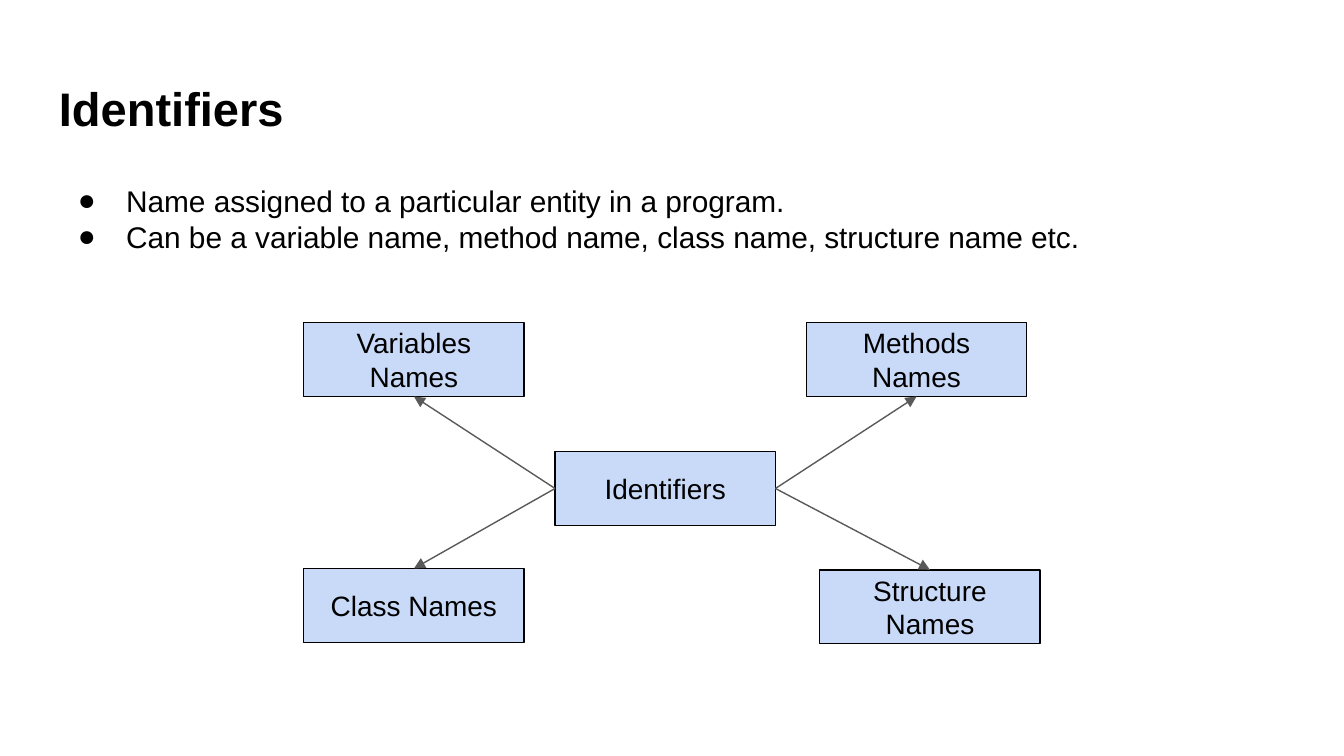
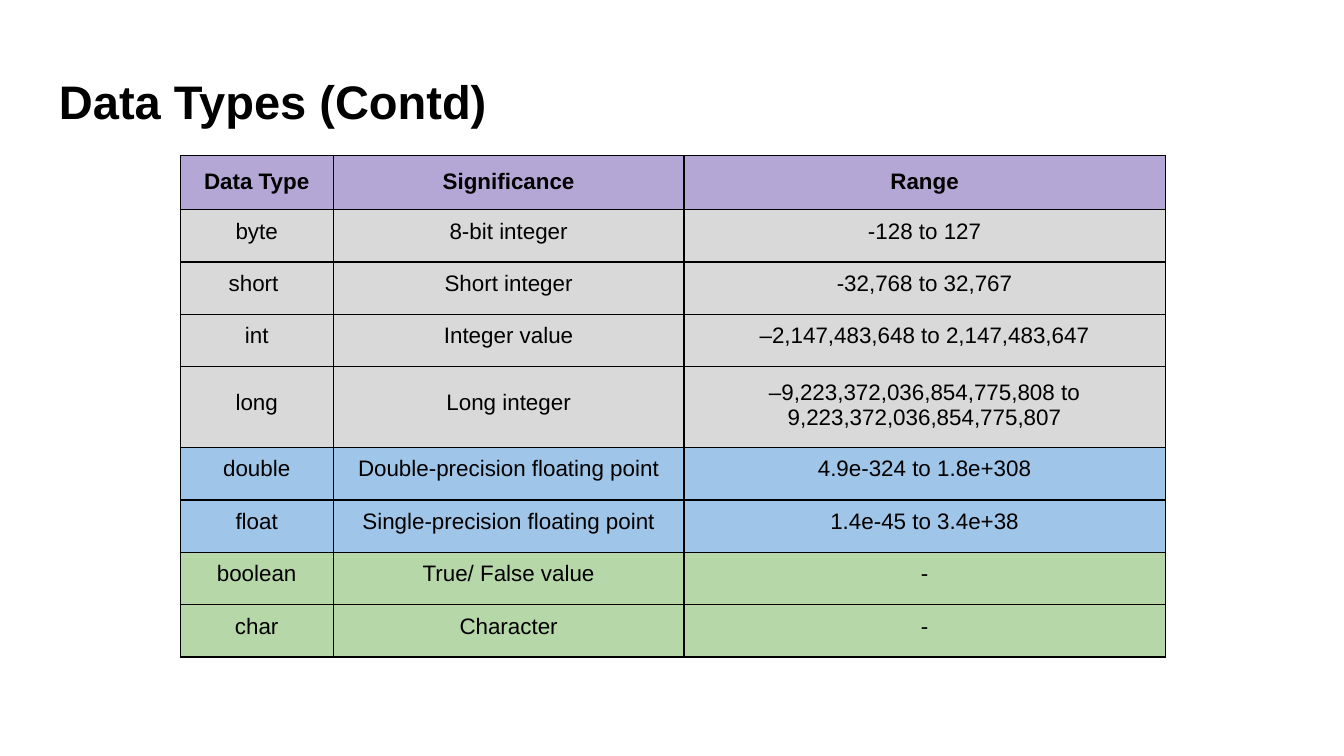
from dataclasses import dataclass
from typing import NamedTuple, Optional

from lxml.etree import SubElement
from pptx import Presentation
from pptx.dml.color import RGBColor
from pptx.enum.shapes import MSO_CONNECTOR, MSO_SHAPE
from pptx.enum.text import MSO_ANCHOR, PP_ALIGN
from pptx.oxml.ns import qn
from pptx.util import Inches, Pt


@dataclass(frozen=True)
class Theme:
    font: str = "Arial"
    text: RGBColor = RGBColor.from_string("000000")
    border: RGBColor = RGBColor.from_string("000000")
    arrow: RGBColor = RGBColor.from_string("595959")
    box: RGBColor = RGBColor.from_string("C9DAF8")
    header: RGBColor = RGBColor.from_string("B4A7D6")
    integers: RGBColor = RGBColor.from_string("D9D9D9")
    floats: RGBColor = RGBColor.from_string("9FC5E8")
    others: RGBColor = RGBColor.from_string("B6D7A8")
    title_size: float = 25.2
    body_size: float = 16
    box_size: float = 15
    table_size: float = 12
    line_width: float = 0.75


THEME = Theme()
INSET = Inches(0.1)
BOX_W, BOX_H = 1.64, 0.55
TOP, LEFT, BOTTOM, RIGHT = range(4)  # connection sites of a rectangle


class Node(NamedTuple):
    text: str
    x: float
    y: float
    hub_site: int
    node_site: int


class DataType(NamedTuple):
    name: str
    significance: str
    range: str
    fill: RGBColor
    height: float = 0.39


HUB = ("Identifiers", 4.13, 3.36)
NODES = [
    Node("Variables Names", 2.26, 2.4, LEFT, BOTTOM),
    Node("Structure Names", 6.1, 4.24, RIGHT, TOP),
    Node("Class Names", 2.26, 4.23, LEFT, TOP),
    Node("Methods Names", 6, 2.4, RIGHT, BOTTOM),
]

BULLETS = [
    "Name assigned to a particular entity in a program.",
    "Can be a variable name, method name, class name, structure name etc.",
]

TALL = 0.58
DATA_TYPES = [
    DataType("Data Type", "Significance", "Range", THEME.header, 0.3),
    DataType("byte", "8-bit integer", "-128 to 127", THEME.integers),
    DataType("short ", "Short integer", "-32,768 to 32,767", THEME.integers),
    DataType("int", "Integer value", "–2,147,483,648 to 2,147,483,647", THEME.integers),
    DataType("long", "Long integer",
             "–9,223,372,036,854,775,808 to 9,223,372,036,854,775,807", THEME.integers, TALL),
    DataType("double", "Double-precision floating point", "4.9e-324 to 1.8e+308", THEME.floats),
    DataType("float", "Single-precision floating point", "1.4e-45 to 3.4e+38", THEME.floats),
    DataType("boolean", "True/ False value", "-", THEME.others),
    DataType("char", "Character", "-", THEME.others),
]
COL_WIDTHS = [1.14, 2.61, 3.58]
FRAME_SIDE = Inches(3.28)


# Text
def add_bullet(p) -> None:
    pPr = p._p.get_or_add_pPr()
    pPr.set("marL", str(Inches(0.5)))
    pPr.set("indent", str(Inches(-0.36)))
    color = SubElement(pPr, qn("a:buClr"))
    SubElement(color, qn("a:srgbClr"), val=str(THEME.text))
    SubElement(pPr, qn("a:buFont"), typeface=THEME.font)
    SubElement(pPr, qn("a:buChar"), char="●")


def write_text(tf, *lines: str, size: float, bold: bool = False, align=PP_ALIGN.LEFT,
               spacing: Optional[float] = None, bullet: bool = False) -> None:
    for i, line in enumerate(lines):
        p = tf.add_paragraph() if i else tf.paragraphs[0]
        p.alignment = align
        p.line_spacing = spacing
        if bullet:
            add_bullet(p)
        r = p.add_run()
        r.text = line
        r.font.name = THEME.font
        r.font.size = Pt(size)
        r.font.bold = bold
        r.font.color.rgb = THEME.text


def set_insets(holder) -> None:
    holder.margin_left = holder.margin_right = INSET
    holder.margin_top = holder.margin_bottom = INSET


def add_text(slide, top: float, *lines: str, **fmt) -> None:
    sp = slide.shapes.add_textbox(Inches(0.34), Inches(top), Inches(9.32), Inches(0.63))
    tf = sp.text_frame
    tf.word_wrap = True
    set_insets(tf)
    write_text(tf, *lines, **fmt)


def add_title(slide, top: float, text: str) -> None:
    add_text(slide, top, text, size=THEME.title_size, bold=True)


# Diagram parts
def add_box(slide, text: str, x: float, y: float):
    sp = slide.shapes.add_shape(MSO_SHAPE.RECTANGLE, Inches(x), Inches(y),
                                Inches(BOX_W), Inches(BOX_H))
    sp.shadow.inherit = False
    sp.fill.solid()
    sp.fill.fore_color.rgb = THEME.box
    sp.line.color.rgb = THEME.border
    sp.line.width = Pt(THEME.line_width)
    tf = sp.text_frame
    tf.word_wrap = True
    tf.vertical_anchor = MSO_ANCHOR.MIDDLE
    set_insets(tf)
    write_text(tf, text, size=THEME.box_size, align=PP_ALIGN.CENTER)
    return sp


def add_arrow(slide, start, start_site: int, end, end_site: int) -> None:
    line = slide.shapes.add_connector(MSO_CONNECTOR.STRAIGHT, 0, 0, 0, 0)
    line.begin_connect(start, start_site)
    line.end_connect(end, end_site)
    line.line.color.rgb = THEME.arrow
    line.line.width = Pt(THEME.line_width)
    SubElement(line.line._get_or_add_ln(), qn("a:tailEnd"), type="triangle")
    SubElement(line._element.spPr, qn("a:effectLst"))


# Table parts
def set_borders(cell) -> None:
    tcPr = cell._tc.get_or_add_tcPr()
    for i, side in enumerate(("lnL", "lnR", "lnT", "lnB")):
        ln = SubElement(tcPr, qn(f"a:{side}"), w=str(Pt(THEME.line_width)))
        fill = SubElement(ln, qn("a:solidFill"))
        SubElement(fill, qn("a:srgbClr"), val=str(THEME.border))
        tcPr.insert(i, ln)


def fill_cell(cell, text: str, fill: RGBColor, bold: bool, spacing: Optional[float]) -> None:
    set_insets(cell)
    cell.fill.solid()
    cell.fill.fore_color.rgb = fill
    set_borders(cell)
    write_text(cell.text_frame, text, size=THEME.table_size, bold=bold,
               align=PP_ALIGN.CENTER, spacing=spacing)


def add_type_table(slide) -> None:
    frame = slide.shapes.add_table(len(DATA_TYPES), len(COL_WIDTHS), Inches(1.34), Inches(1.16),
                                   FRAME_SIDE, FRAME_SIDE)
    table = frame.table
    table.first_row = table.horz_banding = False
    for column, width in zip(table.columns, COL_WIDTHS):
        column.width = Inches(width)
    for i, row in enumerate(DATA_TYPES):
        table.rows[i].height = Inches(row.height)
        tall = row.height == TALL
        for j, text in enumerate((row.name, row.significance, row.range)):
            cell = table.cell(i, j)
            spacing = 0.8
            if i == 0 or (tall and j == 2):
                spacing = None
            elif tall:
                spacing = 0.4
                cell.vertical_anchor = MSO_ANCHOR.MIDDLE
            fill_cell(cell, text, row.fill, bold=i == 0, spacing=spacing)
    # Rows grow to fit their text from this frame size
    frame.width = frame.height = FRAME_SIDE


# Slides
def build_identifiers(slide) -> None:
    add_title(slide, 0.49, "Identifiers")
    add_text(slide, 1.26, *BULLETS, size=THEME.body_size, bullet=True)
    hub = add_box(slide, *HUB)
    boxes = [add_box(slide, node.text, node.x, node.y) for node in NODES]
    for node, box in zip(NODES, boxes):
        add_arrow(slide, hub, node.hub_site, box, node.node_site)


def build_data_types(slide) -> None:
    add_title(slide, 0.44, "Data Types (Contd)")
    add_type_table(slide)


def main() -> None:
    prs = Presentation()
    prs.slide_width = Inches(10)
    prs.slide_height = Inches(10 * 9 / 16)
    blank = prs.slide_layouts[6]
    for build in (build_identifiers, build_data_types):
        build(prs.slides.add_slide(blank))
    prs.save("out.pptx")


if __name__ == "__main__":
    main()
